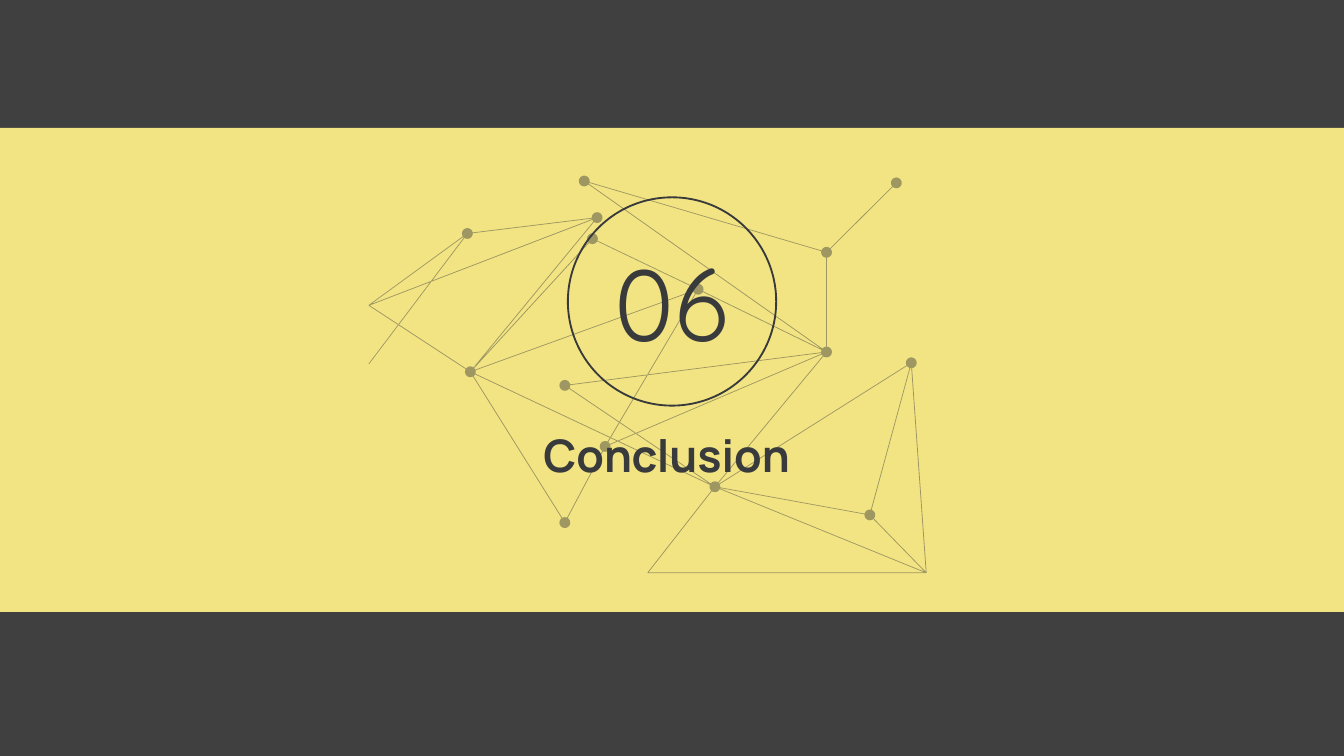
import math
from dataclasses import dataclass

from lxml import etree
from pptx import Presentation
from pptx.dml.color import RGBColor
from pptx.enum import shapes, text
from pptx.oxml import ns
from pptx.util import Pt


@dataclass(frozen=True)
class Theme:
    ground: RGBColor = RGBColor.from_string("404040")
    band: RGBColor = RGBColor.from_string("F3E483")
    ink: RGBColor = RGBColor.from_string("383A3B")
    network_opacity: int = 45
    number_font: str = "Quicksand"
    title_font: str = "Manrope"
    number_size: float = 54
    title_size: float = 24
    ring_width: float = 1
    edge_width: float = 0.4
    dot_radius: float = 2.9
    dot_sides: int = 16


@dataclass(frozen=True)
class Node:
    x: float
    y: float
    dotted: bool = True


@dataclass(frozen=True)
class Frame:
    left: float
    top: float
    width: float
    height: float

    def lengths(self) -> tuple:
        return Pt(self.left), Pt(self.top), Pt(self.width), Pt(self.height)

    def corners(self) -> list:
        right, bottom = self.left + self.width, self.top + self.height
        return [(self.left, self.top), (right, self.top),
                (right, bottom), (self.left, bottom)]


THEME = Theme()

# Network: dots, bare corners, and the nodes each one links to
NODES = {
    "A": Node(313, 97), "B": Node(480.2, 98), "C": Node(442.8, 135.2),
    "D": Node(442.8, 188.6), "E": Node(319.9, 116.6), "F": Node(317.4, 127.9),
    "G": Node(250.4, 125.1), "H": Node(374, 155), "I": Node(252, 199.2),
    "J": Node(302.6, 206.5), "K": Node(324.2, 239.2), "L": Node(302.6, 280),
    "M": Node(383, 260.8), "N": Node(488.2, 194.4), "O": Node(466, 275.9),
    "P": Node(197.6, 163.6, False), "Q": Node(197.6, 195, False),
    "R": Node(347, 306.9, False), "S": Node(496.2, 306.9, False),
}
LINKS = {
    "A": "CD", "C": "BD", "D": "HJKM", "E": "GIP", "F": "HI", "G": "PQ",
    "H": "IK", "I": "LMP", "J": "M", "K": "L", "M": "NORS", "N": "OS",
    "O": "S", "R": "S",
}


def edge_outline(start: Node, end: Node) -> list:
    """A thin bar between two nodes that stops at the rim of each dot."""
    length = math.hypot(end.x - start.x, end.y - start.y)
    along_x, along_y = (end.x - start.x) / length, (end.y - start.y) / length
    half = THEME.edge_width / 2
    near = THEME.dot_radius * start.dotted
    far = length - THEME.dot_radius * end.dotted
    return [(start.x + along_x * reach - along_y * side,
             start.y + along_y * reach + along_x * side)
            for reach, side in ((near, -half), (far, -half),
                                (far, half), (near, half))]


def dot_outline(node: Node) -> list:
    angles = [math.tau * step / THEME.dot_sides
              for step in range(THEME.dot_sides)]
    return [(node.x + THEME.dot_radius * math.cos(angle),
             node.y + THEME.dot_radius * math.sin(angle)) for angle in angles]


def add_outline(page, contours: list):
    rings = [[(Pt(x), Pt(y)) for x, y in contour] for contour in contours]
    builder = page.shapes.build_freeform(*rings[0][0])
    for index, ring in enumerate(rings):
        if index:
            builder.move_to(*ring[0])
        builder.add_line_segments(ring[1:], close=True)
    return builder.convert_to_shape()


def paint(shape, fill=None, line=None) -> None:
    shape.shadow.inherit = False
    if fill is None:
        shape.fill.background()
    else:
        shape.fill.solid()
        shape.fill.fore_color.rgb = fill
    if line is None:
        shape.line.fill.background()
    else:
        shape.line.color.rgb = line
        shape.line.width = Pt(THEME.ring_width)


def write(box, words: str, **font_format) -> None:
    box.text_frame.vertical_anchor = text.MSO_ANCHOR.MIDDLE
    para = box.text_frame.paragraphs[0]
    para.alignment = text.PP_ALIGN.CENTER
    span = para.add_run()
    span.text = words
    span.font.color.rgb = THEME.ink
    for name, value in font_format.items():
        setattr(span.font, name, value)


def main() -> None:
    deck = Presentation()
    deck.slide_width, deck.slide_height = Pt(720), Pt(405)
    page = deck.slides.add_slide(deck.slide_layouts[6])

    # Dark ground and yellow band
    page.background.fill.solid()
    page.background.fill.fore_color.rgb = THEME.ground
    band = page.shapes.add_shape(shapes.MSO_SHAPE.RECTANGLE,
                                 *Frame(0, 68.5, 720, 259.3).lengths())
    paint(band, fill=THEME.band)

    # Translucent network behind the heading, as one outline
    edges = [edge_outline(NODES[start], NODES[end])
             for start, ends in LINKS.items() for end in ends]
    dots = [dot_outline(node) for node in NODES.values() if node.dotted]
    network = add_outline(page, edges + dots)
    paint(network, fill=THEME.ink)
    color = network._element.spPr.find(
        f"{ns.qn('a:solidFill')}/{ns.qn('a:srgbClr')}")
    etree.SubElement(color, ns.qn("a:alpha"),
                     val=str(THEME.network_opacity * 1000))

    # Section number in its ring
    ring = page.shapes.add_shape(shapes.MSO_SHAPE.OVAL,
                                 *Frame(304.2, 105.7, 111.6, 111.6).lengths())
    paint(ring, line=THEME.ink)
    write(ring, "06", name=THEME.number_font, size=Pt(THEME.number_size))

    # Section title
    title = add_outline(page, [Frame(212, 222.1, 290.2, 42.5).corners()])
    paint(title)
    for side in ("left", "top", "right", "bottom"):
        setattr(title.text_frame, f"margin_{side}", Pt(1.5))
    write(title, "Conclusion", name=THEME.title_font,
          size=Pt(THEME.title_size), bold=True)

    deck.save("out.pptx")


if __name__ == "__main__":
    main()
